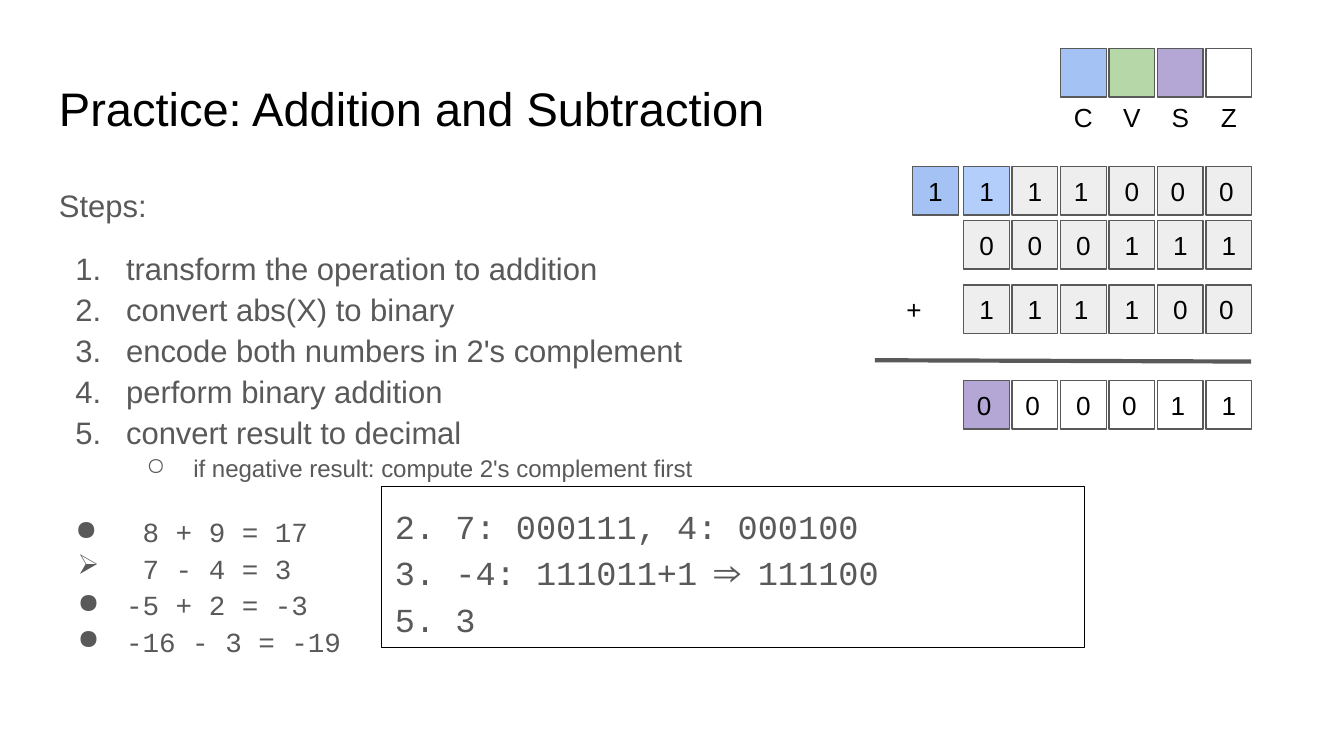
from lxml import etree
from pptx import Presentation
from pptx.dml.color import RGBColor
from pptx.enum.shapes import MSO_CONNECTOR, MSO_SHAPE
from pptx.enum.text import MSO_ANCHOR, PP_ALIGN
from pptx.oxml.ns import qn
from pptx.util import Pt


def rgb(value):
    return RGBColor.from_string(value)


def add_box(x, y, w, h, text="", size=14, font="Arial", color="000000",
            fill=None, line=None, align="l", anchor=MSO_ANCHOR.MIDDLE):
    box = (Pt(x), Pt(y), Pt(w), Pt(h))
    if fill or line:
        sp = s.shapes.add_shape(MSO_SHAPE.RECTANGLE, *box)
        sp.shadow.inherit = False
        if fill:
            sp.fill.solid()
            sp.fill.fore_color.rgb = rgb(fill)
        else:
            sp.fill.background()
        if line:
            sp.line.color.rgb = rgb(line)
            sp.line.width = Pt(0.75)
        else:
            sp.line.fill.background()
    else:
        sp = s.shapes.add_textbox(*box)
    tf = sp.text_frame
    tf.word_wrap = True
    tf.vertical_anchor = anchor
    tf.margin_left = tf.margin_right = tf.margin_top = tf.margin_bottom = Pt(7.2)
    tf.text = text
    for p in tf.paragraphs:
        p.alignment = PP_ALIGN.CENTER if align == "c" else PP_ALIGN.LEFT
        for r in p.runs:
            r.font.size = Pt(size)
            r.font.name = font
            r.font.color.rgb = rgb(color)
    return tf


prs = Presentation()
prs.slide_width, prs.slide_height = Pt(720), Pt(405)
s = prs.slides.add_slide(prs.slide_layouts[6])

add_box(24.5, 35.3, 671, 45.4, "Practice: Addition and Subtraction", 25.2,
        anchor=MSO_ANCHOR.TOP)

body = [
    ("Steps:", None, 16.6, "Arial", 0, 0, 0),
    ("transform the operation to addition", "1.", 16.6, "Arial", 36, 27.2, 12),
    ("convert abs(X) to binary", "1.", 16.6, "Arial", 36, 27.2, 0),
    ("encode both numbers in 2's complement", "1.", 16.6, "Arial", 36, 27.2, 0),
    ("perform binary addition", "1.", 16.6, "Arial", 36, 27.2, 0),
    ("convert result to decimal", "1.", 16.6, "Arial", 36, 27.2, 0),
    ("if negative result: compute 2's complement first", "○", 12.9, "Arial", 72, 25.2, 0),
    (" 8 + 9 = 17", "●", 14.8, "Courier New", 36, 27.2, 16),
    (" 7 - 4 = 3", "➢", 14.8, "Courier New", 36, 26, 0),
    ("-5 + 2 = -3", "●", 14.8, "Courier New", 36, 26, 0),
    ("-16 - 3 = -19", "●", 14.8, "Courier New", 36, 26, 0),
]
tf = add_box(24.5, 90.7, 671, 269.3, "\n".join(row[0] for row in body),
             color="595959", anchor=MSO_ANCHOR.TOP)
for p, (text, bullet, size, font, margin, hang, before) in zip(tf.paragraphs, body):
    p.line_spacing = 1.1
    p.space_before = Pt(before)
    p.runs[0].font.size = Pt(size)
    p.runs[0].font.name = font
    if bullet:
        p.level = 1 if bullet == "○" else 0
        pPr = p._p.get_or_add_pPr()
        pPr.set("marL", str(Pt(margin)))
        pPr.set("indent", str(-Pt(hang)))
        buClr = etree.SubElement(pPr, qn("a:buClr"))
        etree.SubElement(buClr, qn("a:srgbClr"), val="595959")
        if bullet == "1.":
            etree.SubElement(pPr, qn("a:buAutoNum"), type="arabicPeriod")
        else:
            etree.SubElement(pPr, qn("a:buChar"), char=bullet)

left, pitch, w, h = 516.3, 25.95, 24.5, 26
gray, white, blue, purple = "EEEEEE", "FFFFFF", "A4C2F4", "B4A7D6"
rows = [
    (89.3, "111000", "cclcll", "B3CEFB", gray),
    (118.1, "000111", "cccccc", gray, gray),
    (152.6, "111100", "cclccl", gray, gray),
    (203.8, "000011", "llcllc", purple, white),
]
for y, bits, aligns, first, fill in rows:
    for i, (bit, align) in enumerate(zip(bits, aligns)):
        add_box(left + i * pitch, y, w, h, bit, fill=fill if i else first,
                line="595959", align=align)
add_box(488.9, 89.3, w, h, "1", fill=blue, line="595959", align="c")
add_box(477.4, 152.6, w, h, "+", fill=white, align="c")

sum_line = s.shapes.add_connector(MSO_CONNECTOR.STRAIGHT, Pt(468.7), Pt(193), Pt(670.3), Pt(193.7))
sum_line.line.color.rgb = rgb("595959")
sum_line.line.width = Pt(2.25)
etree.SubElement(sum_line._element.spPr, qn("a:effectLst"))

for i, (flag, fill) in enumerate(zip("CVSZ", [blue, "B6D7A8", purple, white])):
    x = left + (i + 2) * pitch
    add_box(x, 26, w, h, fill=fill, line="595959")
    add_box(x, 49.8, w, h, flag, align="c")

tf = add_box(204.5, 260.7, 376.6, 86.4,
             "2. 7: 000111, 4: 000100\v3. -4: 111011+1 ⇒ 111100\v5. 3",
             18, "Courier New", "595959", line="000000", anchor=MSO_ANCHOR.TOP)
tf.paragraphs[0].line_spacing = 1.15

prs.save("out.pptx")
